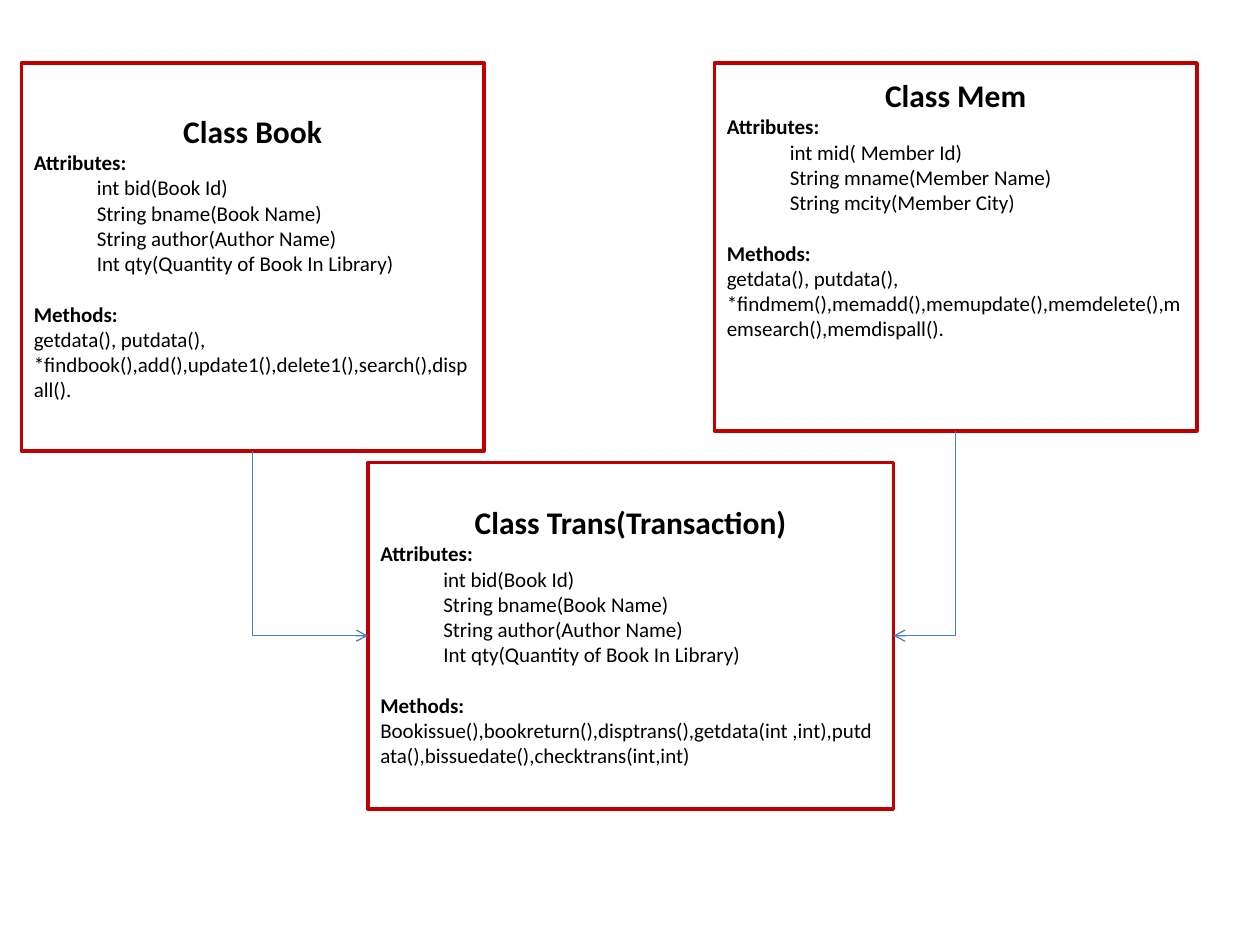
from lxml import etree
from pptx import Presentation
from pptx.dml.color import RGBColor
from pptx.enum.shapes import MSO_CONNECTOR, MSO_SHAPE
from pptx.enum.text import MSO_ANCHOR, PP_ALIGN
from pptx.oxml.ns import qn
from pptx.util import Inches, Pt

BOX = MSO_SHAPE.FLOWCHART_PROCESS
ELBOW = MSO_CONNECTOR.ELBOW
MIDDLE = MSO_ANCHOR.MIDDLE
LEFT, CENTER = PP_ALIGN.LEFT, PP_ALIGN.CENTER
SIDE_LEFT, SIDE_BOTTOM, SIDE_RIGHT = 1, 2, 3

BOOK_ATTRS = [
    "int bid(Book Id)",
    "String bname(Book Name)",
    "String author(Author Name)",
    "Int qty(Quantity of Book In Library)",
]
MEM_ATTRS = [
    "int mid( Member Id)",
    "String mname(Member Name)",
    "String mcity(Member City)",
]
BOOK_CALLS = ("getdata(), putdata(), *findbook(),add(),update1(),"
              "delete1(),search(),dispall().")
MEM_CALLS = ("getdata(), putdata(), *findmem(),memadd(),memupdate(),"
             "memdelete(),memsearch(),memdispall().")
TRANS_CALLS = ("Bookissue(),bookreturn(),disptrans(),getdata(int ,int),"
               "putdata(),bissuedate(),checktrans(int,int)")


def color(code):
    """Turn a hex string into a colour."""
    return RGBColor.from_string(code)


def add_line(frame, text, size=12, bold=False, align=LEFT):
    """Write one paragraph, using the first one while it is empty."""
    para = frame.paragraphs[0]
    if para.runs:
        para = frame.add_paragraph()
    para.add_run().text = text
    para.alignment = align
    para.font.name = "Calibri"
    para.font.size = Pt(size)
    para.font.bold = bold
    para.font.color.rgb = color("000000")
    return para


def add_class(slide, box, title, attrs, calls, foot=0.05):
    """Draw a class box with its title, attributes and methods."""
    shape = slide.shapes.add_shape(BOX, *(Inches(n) for n in box))
    shape.shadow.inherit = False
    shape.fill.solid()
    shape.fill.fore_color.rgb = color("FFFFFF")
    shape.line.color.rgb = color("C00000")
    shape.line.width = Pt(2)

    frame = shape.text_frame
    frame.word_wrap = True
    frame.vertical_anchor = MIDDLE
    frame.margin_bottom = Inches(foot)
    add_line(frame, title, 18, True, CENTER)
    add_line(frame, "Attributes:", bold=True)
    for attr in attrs:
        para = add_line(frame, attr)
        para.level = 1
        props = para._p.get_or_add_pPr()
        props.set("marL", str(Inches(0.5)))
        props.set("indent", "0")
    add_line(frame, "Methods:", bold=True).space_before = Pt(14.6)
    add_line(frame, calls)
    return shape


def add_arrow(slide, start, end, side):
    """Join the bottom of one box to a side of another, down then across."""
    x1, y1 = start.left + start.width // 2, start.top + start.height
    x2 = end.left + (end.width if side == SIDE_RIGHT else 0)
    y2 = end.top + end.height // 2
    link = slide.shapes.add_connector(ELBOW, x1, y1, x2, y2)
    link.begin_connect(start, SIDE_BOTTOM)
    link.end_connect(end, side)

    # The single-bend preset runs across then down, so it is turned.
    across, down = abs(x2 - x1), y2 - y1
    link.left = (x1 + x2 - down) // 2
    link.top = (y1 + y2 - across) // 2
    link.width, link.height = down, across
    props = link._element.spPr
    props.find(qn("a:prstGeom")).set("prst", "bentConnector2")
    frame = props.find(qn("a:xfrm"))
    for key in ("flipH", "flipV"):
        frame.attrib.pop(key, None)
    if x2 > x1:
        frame.set("rot", str(270 * 60000))
        frame.set("flipH", "1")
    else:
        frame.set("rot", str(90 * 60000))

    link.line.color.rgb = color("4B7EBC")
    link.line.width = Pt(0.75)
    tail = etree.SubElement(props.find(qn("a:ln")), qn("a:tailEnd"))
    tail.set("type", "arrow")
    etree.SubElement(props, qn("a:effectLst"))


def add_diagram(slide):
    """Place the three classes and the arrows between them."""
    book = add_class(slide, (0.17, 0.5, 3.67, 3.08),
                     "Class Book", BOOK_ATTRS, BOOK_CALLS)
    mem = add_class(slide, (5.67, 0.5, 3.83, 2.92),
                    "Class Mem", MEM_ATTRS, MEM_CALLS, foot=0.66)
    trans = add_class(slide, (2.92, 3.67, 4.17, 2.75),
                      "Class Trans(Transaction)", BOOK_ATTRS, TRANS_CALLS)
    add_arrow(slide, book, trans, SIDE_LEFT)
    add_arrow(slide, mem, trans, SIDE_RIGHT)


deck = Presentation()
deck.slide_width, deck.slide_height = Inches(10), Inches(7.5)
add_diagram(deck.slides.add_slide(deck.slide_layouts[6]))
deck.save("out.pptx")
